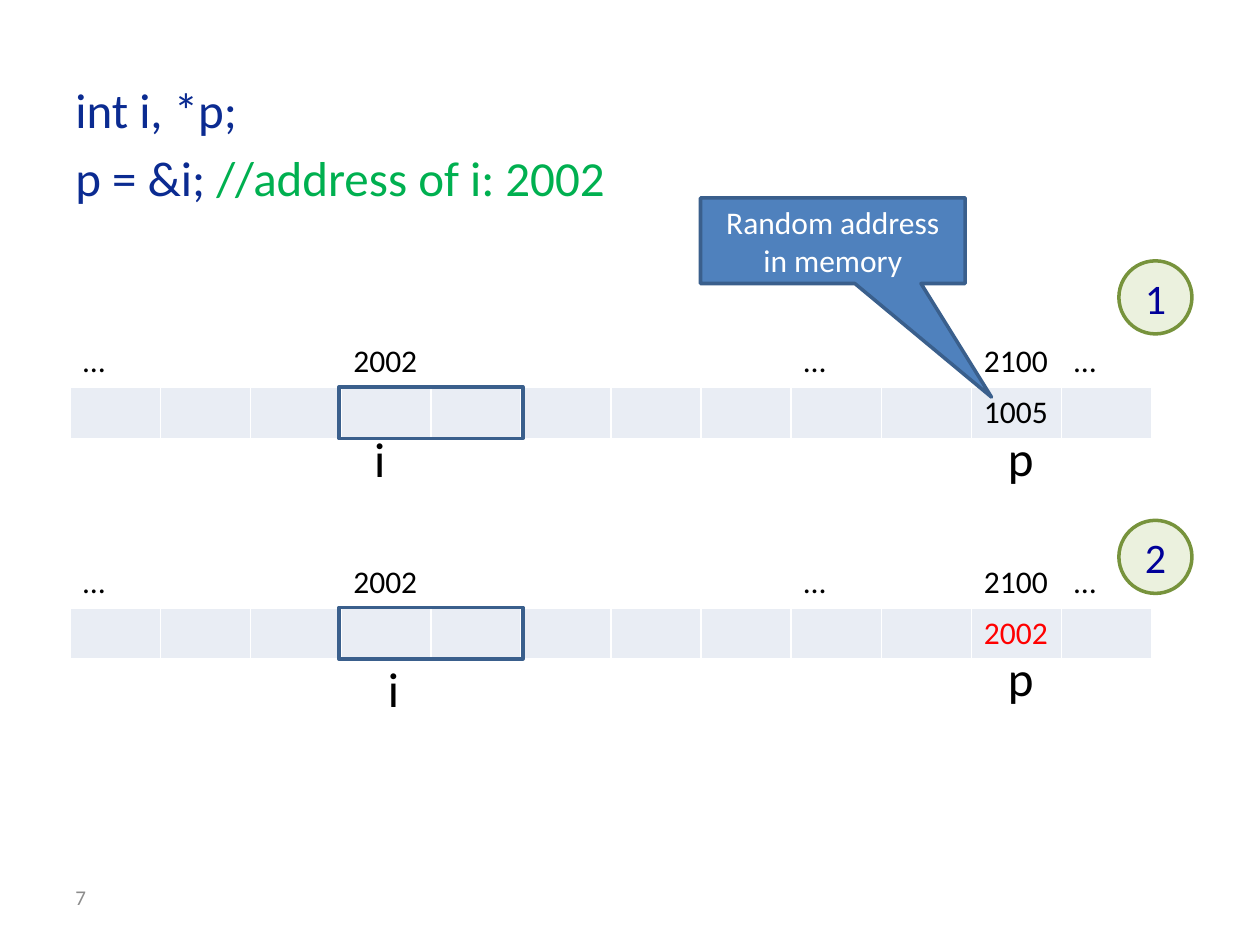
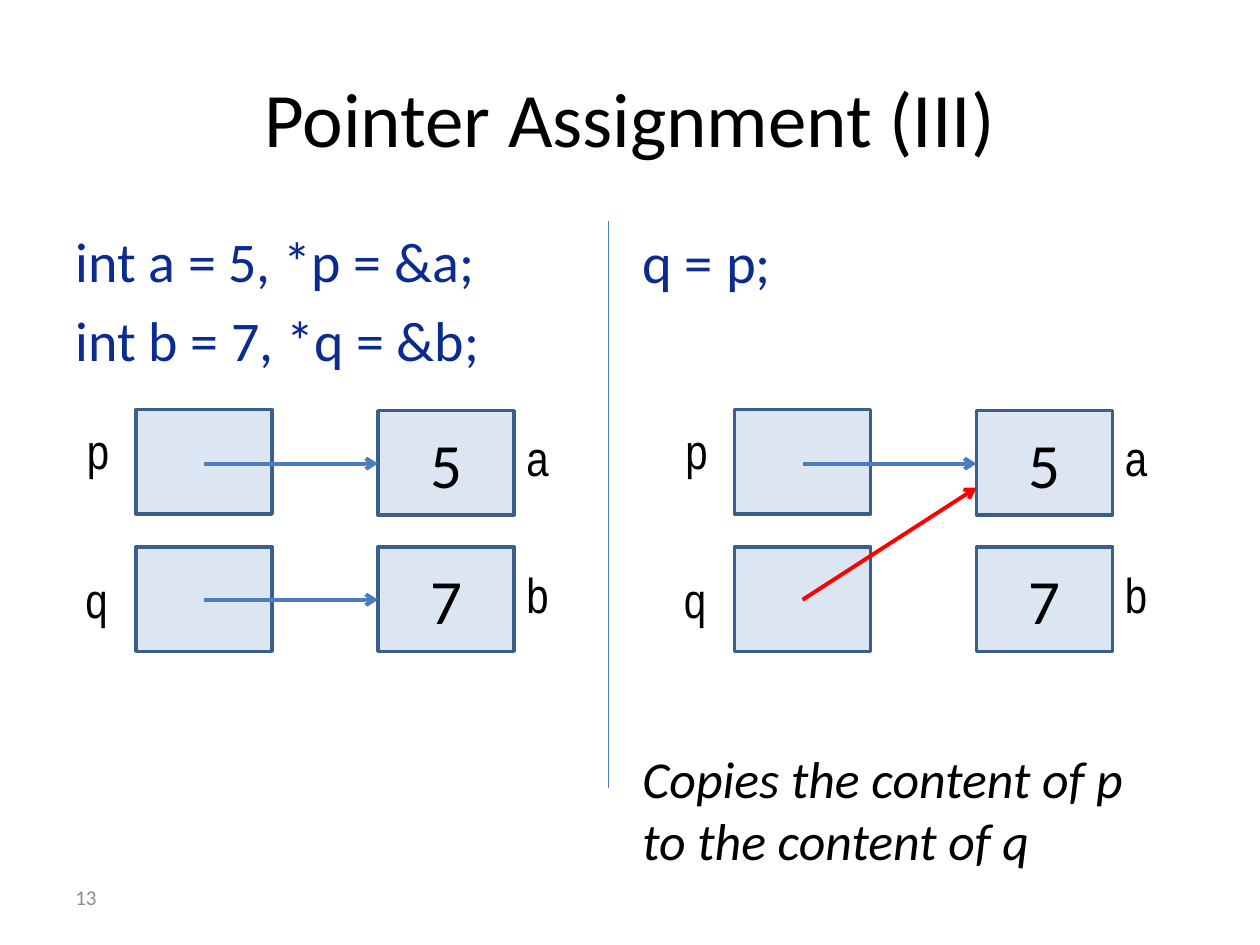
from dataclasses import dataclass

from lxml import etree
from pptx import Presentation
from pptx.dml.color import RGBColor
from pptx.enum.shapes import MSO_CONNECTOR, MSO_SHAPE
from pptx.enum.text import MSO_ANCHOR, PP_ALIGN
from pptx.oxml.ns import qn
from pptx.util import Inches, Pt

RECTANGLE = MSO_SHAPE.RECTANGLE
OVAL = MSO_SHAPE.OVAL
CALLOUT = MSO_SHAPE.RECTANGULAR_CALLOUT
STRAIGHT = MSO_CONNECTOR.STRAIGHT
TOP, MIDDLE = MSO_ANCHOR.TOP, MSO_ANCHOR.MIDDLE
LEFT, CENTER = PP_ALIGN.LEFT, PP_ALIGN.CENTER

BLACK = RGBColor(0x00, 0x00, 0x00)
WHITE = RGBColor(0xFF, 0xFF, 0xFF)
RED = RGBColor(0xFF, 0x00, 0x00)
CODE_BLUE = RGBColor(0x0B, 0x2B, 0x91)
COMMENT_GREEN = RGBColor(0x00, 0xB0, 0x50)
NUMBER_GRAY = RGBColor(0x8C, 0x8C, 0x8C)
OUTLINE_BLUE = RGBColor(0x3A, 0x5F, 0x8C)
ARROW_BLUE = RGBColor(0x4B, 0x7E, 0xBC)
CALLOUT_BLUE = RGBColor(0x4F, 0x81, 0xBD)
BOX_BLUE = RGBColor(0xDC, 0xE6, 0xF2)
MEMORY_GRAY = RGBColor(0xE9, 0xED, 0xF4)
BADGE_FILL = RGBColor(0xEB, 0xF1, 0xDE)
BADGE_LINE = RGBColor(0x77, 0x93, 0x3C)
BADGE_TEXT = RGBColor(0x00, 0x00, 0x99)

CELL_COUNT, CELL_WIDTH, CELL_HEIGHT = 12, 0.715, 0.405
MEMORY_LEFT = 0.56
POINTER_CELL = 10
ADDRESSES = {0: "…", 3: "2002", 8: "…", POINTER_CELL: "2100", 11: "…"}
BOX_WIDTH, BOX_HEIGHT = 1.08, 0.83


@dataclass(frozen=True)
class Style:
    size: float
    color: RGBColor = BLACK
    font: str = "Calibri"
    italic: bool = False


@dataclass(frozen=True)
class Span:
    text: str
    style: Style


@dataclass(frozen=True)
class Line:
    spans: tuple[Span, ...]
    space_before: float = 0


@dataclass(frozen=True)
class MemoryStep:
    number: str
    top: float
    value: Span
    i_left: float
    i_top: float
    p_top: float
    badge_top: float


@dataclass(frozen=True)
class PointerDiagram:
    left: float
    q_target: float
    q_color: RGBColor


CELL_STYLE = Style(18)
LABEL_STYLE = Style(28)
NARROW_STYLE = Style(28, font="Arial Narrow")
CODE_SMALL = Style(28, CODE_BLUE)
CODE_LARGE = Style(32, CODE_BLUE)

MEMORY_STEPS = (
    MemoryStep("1", 2.67, Span("1005", CELL_STYLE), 2.87, 3.35, 3.34, 2.07),
    MemoryStep("2", 4.42, Span("2002", Style(18, RED)), 2.98, 5.18, 5.09, 4.13),
)
POINTER_DIAGRAMS = (
    PointerDiagram(0.58, 4.76, ARROW_BLUE),
    PointerDiagram(5.33, 3.87, RED),
)


def write(frame, lines: list[Line], anchor=TOP, align=LEFT) -> None:
    frame.word_wrap = True
    frame.vertical_anchor = anchor
    for index, line in enumerate(lines):
        para = frame.paragraphs[0] if index == 0 else frame.add_paragraph()
        para.alignment = align
        para.space_before = Pt(line.space_before)
        for span in line.spans:
            run = para.add_run()
            run.text = span.text
            run.font.name = span.style.font
            run.font.size = Pt(span.style.size)
            run.font.color.rgb = span.style.color
            run.font.italic = span.style.italic


def single(text: str, style: Style) -> list[Line]:
    return [Line((Span(text, style),))]


def add_text(page, left: float, top: float, width: float, height: float,
             lines: list[Line], anchor=TOP) -> None:
    box = page.shapes.add_textbox(Inches(left), Inches(top), Inches(width), Inches(height))
    write(box.text_frame, lines, anchor)


def add_label(page, left: float, top: float, text: str, style: Style) -> None:
    add_text(page, left, top, 0.58, 0.57, single(text, style))


def add_page_number(page, number: str) -> None:
    add_text(page, 0.5, 6.92, 2.33, 0.4, single(number, Style(12, NUMBER_GRAY)), MIDDLE)


def add_box(page, kind, left: float, top: float, width: float, height: float,
            fill: RGBColor | None, outline: RGBColor = OUTLINE_BLUE,
            label: Span | None = None):
    box = page.shapes.add_shape(kind, Inches(left), Inches(top), Inches(width), Inches(height))
    box.shadow.inherit = False
    if fill is None:
        box.fill.background()
    else:
        box.fill.solid()
        box.fill.fore_color.rgb = fill
    box.line.color.rgb = outline
    box.line.width = Pt(2)
    if label:
        write(box.text_frame, [Line((label,))], MIDDLE, CENTER)
    return box


def add_line(page, start: tuple[float, float], end: tuple[float, float],
             color: RGBColor, width: float, arrow: bool = False) -> None:
    connector = page.shapes.add_connector(
        STRAIGHT, *(Inches(value) for value in (*start, *end)))
    connector.line.color.rgb = color
    connector.line.width = Pt(width)
    properties = connector._element.spPr
    if arrow:
        etree.SubElement(properties.find(qn("a:ln")), qn("a:tailEnd"), type="arrow")
    etree.SubElement(properties, qn("a:effectLst"))


def format_cell(cell, fill: RGBColor, span: Span | None) -> None:
    properties = cell._tc.get_or_add_tcPr()
    for side in ("lnL", "lnR", "lnT", "lnB"):
        border = etree.SubElement(properties, qn(f"a:{side}"), w=str(Pt(1)))
        solid = etree.SubElement(border, qn("a:solidFill"))
        etree.SubElement(solid, qn("a:srgbClr"), val=str(WHITE))
    cell.fill.solid()
    cell.fill.fore_color.rgb = fill
    if span:
        write(cell.text_frame, [Line((span,))])


def add_memory(page, step: MemoryStep) -> None:
    table = page.shapes.add_table(
        2, CELL_COUNT, Inches(MEMORY_LEFT), Inches(step.top),
        Inches(CELL_COUNT * CELL_WIDTH), Inches(2 * CELL_HEIGHT)).table
    table.first_row = False
    table.horz_banding = False
    for column in table.columns:
        column.width = Inches(CELL_WIDTH)
    addresses = {index: Span(text, CELL_STYLE) for index, text in ADDRESSES.items()}
    rows = ((WHITE, addresses), (MEMORY_GRAY, {POINTER_CELL: step.value}))
    for row, (fill, spans) in enumerate(rows):
        for column in range(CELL_COUNT):
            format_cell(table.cell(row, column), fill, spans.get(column))
    add_label(page, step.i_left, step.i_top, "i", LABEL_STYLE)
    add_label(page, 7.9, step.p_top, "p", LABEL_STYLE)
    add_box(page, RECTANGLE, 2.69, step.top + 0.4, 1.46, 0.41, None)
    add_box(page, OVAL, 8.88, step.badge_top, 0.58, 0.58, BADGE_FILL, BADGE_LINE,
            Span(step.number, Style(24, BADGE_TEXT)))


def add_pointers(page, diagram: PointerDiagram) -> None:
    pointer_left = diagram.left + 0.5
    value_left = diagram.left + 2.42
    arrow_left = pointer_left + BOX_WIDTH / 2
    for top in (3.25, 4.34):
        add_box(page, RECTANGLE, pointer_left, top, BOX_WIDTH, BOX_HEIGHT, BOX_BLUE)
    for top, value in ((3.26, "5"), (4.34, "7")):
        add_box(page, RECTANGLE, value_left, top, BOX_WIDTH, BOX_HEIGHT, BOX_BLUE,
                label=Span(value, Style(36)))
    name_left = value_left + BOX_WIDTH
    for left, top, name in ((diagram.left + 0.01, 3.29, "p"), (diagram.left, 4.47, "q"),
                            (name_left, 3.34, "a"), (name_left, 4.43, "b")):
        add_label(page, left, top, name, NARROW_STYLE)
    add_line(page, (arrow_left, 3.68), (value_left, 3.68), ARROW_BLUE, 2.25, True)
    add_line(page, (arrow_left, 4.76), (value_left, diagram.q_target),
             diagram.q_color, 2.25, True)


def build_memory_page(deck) -> None:
    page = deck.slides.add_slide(deck.slide_layouts[6])
    add_text(page, 0.5, 0.58, 9, 6.12, [
        Line((Span("int i, *p;", CODE_SMALL),), 5.6),
        Line((Span("p = &i; ", CODE_SMALL),
              Span("//address of i: 2002", Style(28, COMMENT_GREEN))), 5.6),
    ])
    add_page_number(page, "7")
    for step in MEMORY_STEPS:
        add_memory(page, step)
    callout = add_box(page, CALLOUT, 5.56, 1.57, 2.1, 0.68, CALLOUT_BLUE,
                      label=Span("Random address in memory", Style(18, WHITE)))
    callout.adjustments[0] = 0.6
    callout.adjustments[1] = 1.827


def build_assignment_page(deck) -> None:
    page = deck.slides.add_slide(deck.slide_layouts[5])
    title = page.shapes.title
    title.left, title.top, title.width, title.height = (
        Inches(value) for value in (0.5, 0.3, 9, 1.25))
    write(title.text_frame, single("Pointer Assignment (III)", Style(44)), MIDDLE, CENTER)
    add_text(page, 0.5, 1.75, 4.08, 4.95, [
        Line((Span(code, CODE_LARGE),), 6.4)
        for code in ("int a = 5, *p = &a;", "int b = 7, *q = &b;")
    ])
    add_text(page, 5, 1.75, 4.42, 4.95, [
        Line((Span("q = p;", Style(32.4, CODE_BLUE)),), 6.4),
        Line((Span("Copies the content of p to the content of q",
                   Style(29.6, italic=True)),), 258),
    ])
    add_page_number(page, "13")
    for diagram in POINTER_DIAGRAMS:
        add_pointers(page, diagram)
    add_line(page, (4.83, 1.75), (4.83, 6.25), ARROW_BLUE, 0.75)


def main() -> None:
    deck = Presentation()
    deck.slide_width = Inches(10)
    deck.slide_height = Inches(7.5)
    build_memory_page(deck)
    build_assignment_page(deck)
    deck.save("out.pptx")


main()
